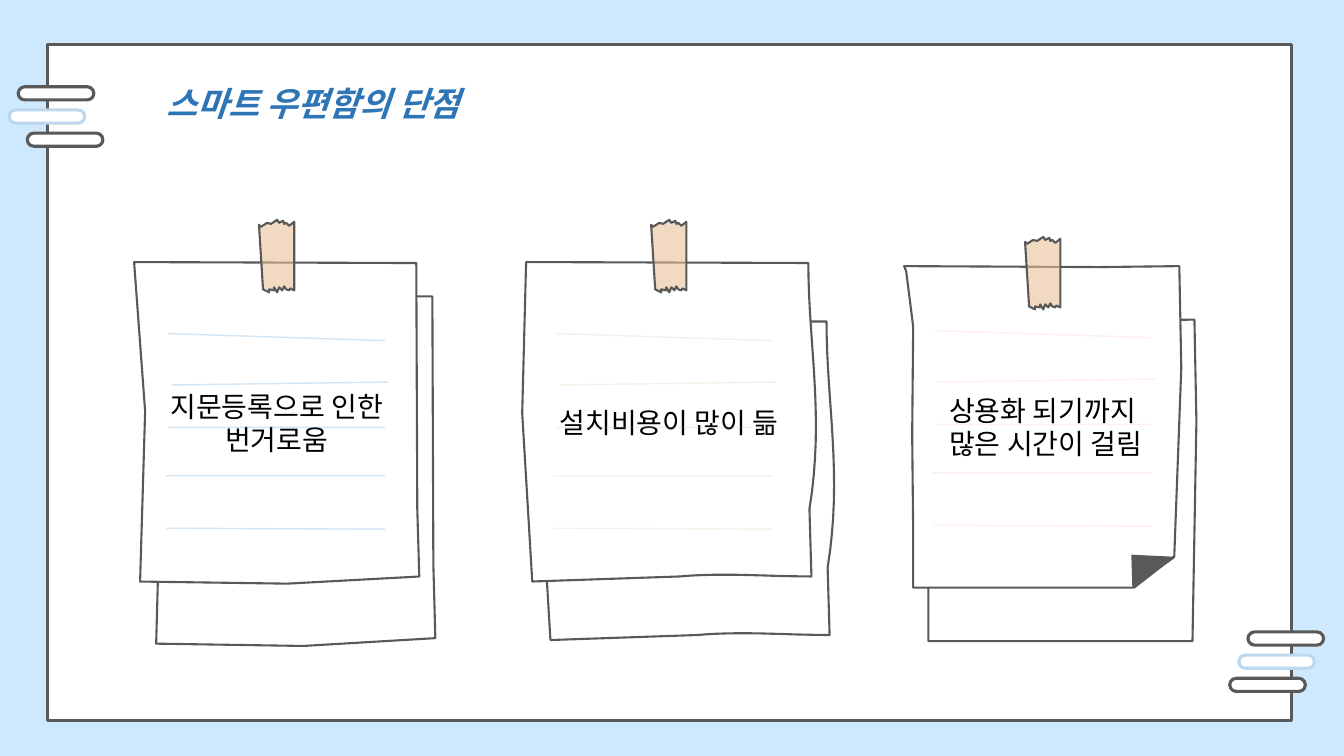
"""Build the slide on the drawbacks of the smart mailbox, shown as three taped notes."""
from pptx import Presentation
from pptx.dml.color import RGBColor
from pptx.enum.shapes import MSO_CONNECTOR, MSO_SHAPE
from pptx.enum.text import MSO_ANCHOR, MSO_AUTO_SIZE, PP_ALIGN
from pptx.oxml.ns import qn
from pptx.util import Pt
from lxml import etree

RECT, PILL = MSO_SHAPE.RECTANGLE, MSO_SHAPE.ROUNDED_RECTANGLE
STRAIGHT = MSO_CONNECTOR.STRAIGHT
TOP, MIDDLE = MSO_ANCHOR.TOP, MSO_ANCHOR.MIDDLE
LEFT, CENTER = PP_ALIGN.LEFT, PP_ALIGN.CENTER
GROW = MSO_AUTO_SIZE.SHAPE_TO_FIT_TEXT

SKY = RGBColor(0xCE, 0xE9, 0xFE)
WHITE = RGBColor(0xFF, 0xFF, 0xFF)
BLACK = RGBColor(0x00, 0x00, 0x00)
GRAY = RGBColor(0x59, 0x59, 0x59)
PALE_BLUE = RGBColor(0xBD, 0xD7, 0xEE)
TITLE_BLUE = RGBColor(0x2E, 0x75, 0xB6)
TAPE_TAN = RGBColor(0xEA, 0xC0, 0x96)
RULE_BLUE = RGBColor(0x5B, 0x9B, 0xD5)
RULE_GREEN = RGBColor(0xA9, 0xD1, 0x8E)
RULE_PINK = RGBColor(0xFF, 0x7C, 0x80)

TAPE = [(2.9, 49.7), (7.2, 51.8), (7.2, 49.7), (10.8, 50.4), (10.8, 48.2), (13, 51.8),
        (14.4, 48.2), (16.6, 50.4), (18, 47.5), (19.4, 49.7), (21.6, 50.4), (22.3, 49),
        (25.2, 50.4), (25.2, 1.4), (21.6, 4.3), (19.4, 2.2), (18, 2.9), (17.3, 0.7),
        (14.4, 2.2), (13, 0), (8.6, 2.9), (5.8, 2.2), (1.4, 5), (0, 3.6)]
RULES = [(2.2, 0, 157, 5), (4.3, 36.7, 159.1, 34.6), (2.2, 67, 157, 67),
         (0, 101.5, 157, 101.5), (0.7, 139, 157, 139.7)]


def curve(p0, p1, p2, p3, steps=16):
    """Return the points of a cubic curve, both ends included."""
    ts = [i / steps for i in range(steps + 1)]
    return [tuple((1 - t) ** 3 * a + 3 * t * (1 - t) ** 2 * b + 3 * t * t * (1 - t) * c + t ** 3 * d
                  for a, b, c, d in zip(p0, p1, p2, p3)) for t in ts]


SHEET_1 = [(95.8, 187.2), (297.4, 187.9), (298.1, 363.6), (299.5, 411.8),
           (205.2, 416.9), (100.1, 415.4), (103.7, 293.8)]
SHEET_2 = [(375.8, 187.2),
           *curve((577.4, 187.9), (577.4, 246.2), (589, 297.4), (578.2, 363.6)),
           *curve((579.6, 411.8), (547.9, 411.8), (517, 409), (485.3, 411.8)),
           (380.2, 415.4), (373, 295.2)]
SHEET_3 = [(645.8, 190.1), (784.8, 190.8), (842.4, 190.1), (843.8, 262.8), (838.8, 397.4),
           (810, 419.8), (652.3, 419.8), (652.3, 380.9), (651.6, 310.3), (652.3, 233.3),
           (647.3, 193.7)]
UNFOLDED_3 = SHEET_3[:4] + [(841, 419.8)] + SHEET_3[5:]
FOLD = [(809.3, 419), (838.8, 398.2), (808.6, 396.7)]


class Deck:
    """Hold the style and the current slide, and draw each kind of element."""

    font = "Noto Sans CJK KR"

    def __init__(self):
        """Start a one-slide presentation with a plain background."""
        self.prs = Presentation()
        self.prs.slide_width, self.prs.slide_height = Pt(960), Pt(540)
        self.s = self.prs.slides.add_slide(self.prs.slide_layouts[5])
        self.s.background.fill.solid()
        self.s.background.fill.fore_color.rgb = SKY

    def alpha(self, fill, percent):
        """Set the opacity of a solid colour."""
        color = fill._xPr.find(qn("a:solidFill"))[0]
        etree.SubElement(color, qn("a:alpha")).set("val", str(percent * 1000))

    def style(self, sp, fill, line, width):
        """Give a shape its fill and outline."""
        sp.shadow.inherit = False
        sp.fill.solid()
        sp.fill.fore_color.rgb = fill
        sp.line.color.rgb = line
        sp.line.width = Pt(width)
        return sp

    def shape(self, kind, x, y, w, h, line=GRAY):
        """Add a white preset shape."""
        sp = self.s.shapes.add_shape(kind, Pt(x), Pt(y), Pt(w), Pt(h))
        return self.style(sp, WHITE, line, 2.25)

    def pill(self, x, y, line):
        """Add a fully rounded bar."""
        self.shape(PILL, x, y, 54, 9.4, line).adjustments[0] = 0.5

    def outline(self, points, fill=WHITE, width=1.5, dx=0, dy=0, stretch=1):
        """Add a closed outline, moved and stretched downwards from its first point."""
        top = points[0][1]
        pts = [(Pt(x + dx), Pt(top + dy + (y - top) * stretch)) for x, y in points]
        fb = self.s.shapes.build_freeform(*pts[0])
        fb.add_line_segments(pts[1:], close=True)
        return self.style(fb.convert_to_shape(), fill, GRAY, width)

    def rule(self, x1, y1, x2, y2, color, opacity):
        """Add a faint ruled line."""
        c = self.s.shapes.add_connector(STRAIGHT, Pt(x1), Pt(y1), Pt(x2), Pt(y2))
        c.line.color.rgb = color
        c.line.width = Pt(1)
        self.alpha(c.line.fill, opacity)
        etree.SubElement(c._element.spPr, qn("a:effectLst"))

    def label(self, sp, text, size, color, align, anchor, bold=False, italic=False):
        """Put formatted text into a shape."""
        tf = sp.text_frame
        tf.text = text
        tf.word_wrap = True
        tf.vertical_anchor = anchor
        for p in tf.paragraphs:
            p.alignment = align
            for r in p.runs:
                r.font.size = Pt(size)
                r.font.bold, r.font.italic = bold, italic
                r.font.color.rgb = color
                r.font.name = self.font
                etree.SubElement(r.font._element, qn("a:ea")).set("typeface", self.font)
        return tf

    def title(self, text, x, y, w, h):
        """Place and fill the title placeholder."""
        sp = self.s.shapes.title
        sp.left, sp.top, sp.width, sp.height = Pt(x), Pt(y), Pt(w), Pt(h)
        tf = self.label(sp, text, 24, TITLE_BLUE, LEFT, TOP, True, True)
        tf.auto_size = GROW
        tf.paragraphs[0].line_spacing = 1.5
        self.s.shapes._spTree.append(sp._element)

    def note(self, text, sheet, back, shift, tape, rules, color, opacity, fold=None):
        """Add a ruled, taped note with a second sheet behind it."""
        dx, dy, stretch = shift
        self.outline(back, dx=dx, dy=dy, stretch=stretch)
        self.label(self.outline(sheet), text, 20, BLACK, CENTER, MIDDLE)
        if fold:
            self.outline(fold, GRAY, 1)
        self.alpha(self.outline([(tape[0] + x, tape[1] + y) for x, y in TAPE], TAPE_TAN).fill, 58)
        x, y = rules
        for x1, y1, x2, y2 in RULES:
            self.rule(x + x1, y + y1, x + x2, y + y2, color, opacity)


def main():
    """Draw the slide and save it."""
    d = Deck()
    d.shape(RECT, 34, 31.7, 888.5, 483)
    for top, lefts in ((62, (13, 6.5, 19.5)), (451.4, (891.4, 884.9, 878.4))):
        for row, (x, color) in enumerate(zip(lefts, (GRAY, PALE_BLUE, GRAY))):
            d.pill(x, top + row * 16.55, color)
    d.title("스마트 우편함의 단점", 111.6, 41, 426.2, 65.5)
    d.note("지문등록으로 인한 번거로움", SHEET_1, SHEET_1, (11.5, 23.8, 1.09),
           (185, 157), (118.1, 238.3), RULE_BLUE, 25)
    d.note("설치비용이 많이 듦", SHEET_2, SHEET_2, (13, 41.8, 1),
           (465.1, 157), (395.3, 238.3), RULE_GREEN, 20)
    d.note("상용화 되기까지\n 많은 시간이 걸림", SHEET_3, UNFOLDED_3, (10.8, 38.2, 1),
           (732.2, 169.2), (666, 236.2), RULE_PINK, 12, FOLD)
    d.prs.save("out.pptx")


if __name__ == "__main__":
    main()
